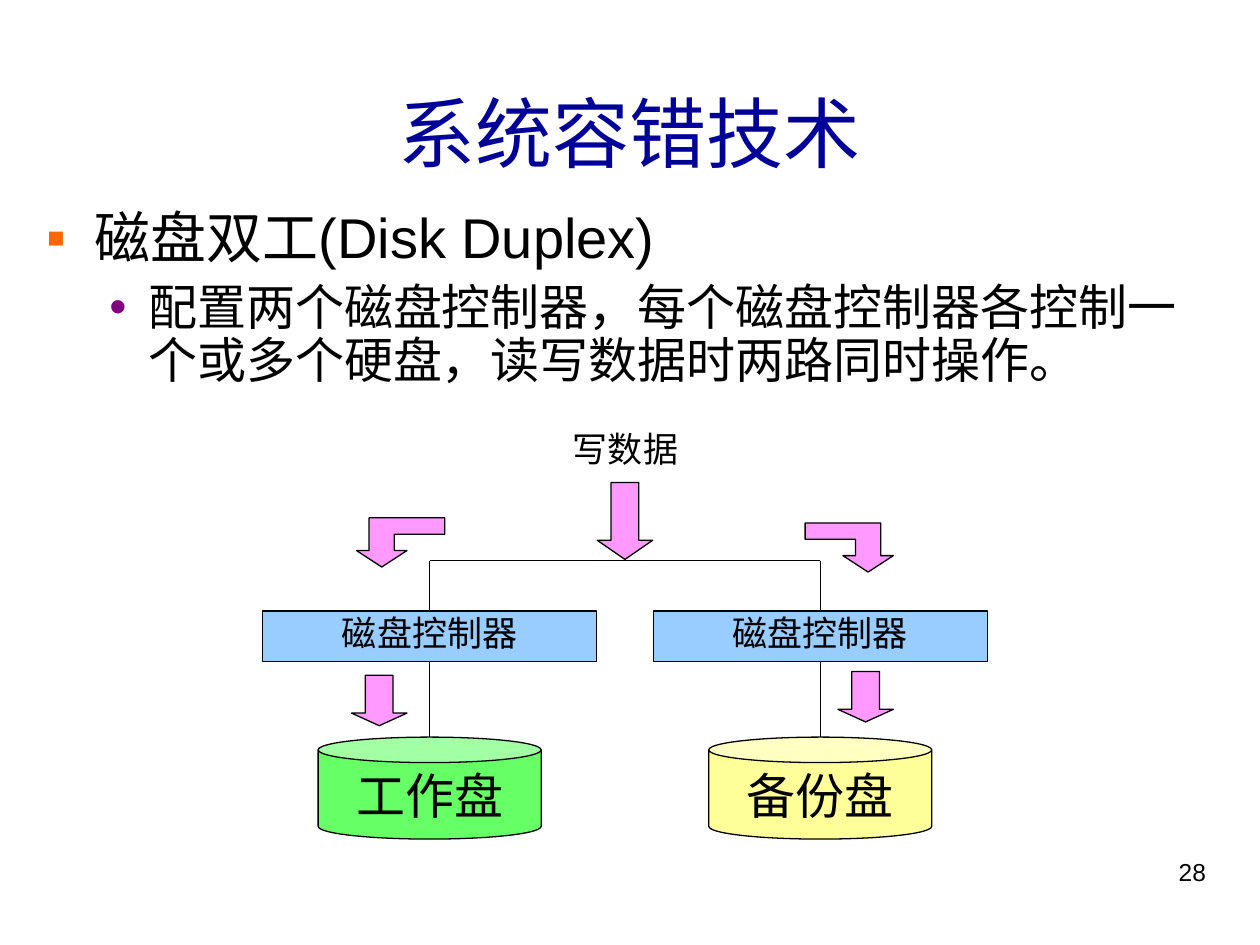
from lxml import etree
from pptx import Presentation
from pptx.dml.color import RGBColor
from pptx.enum import shapes, text
from pptx.oxml.ns import qn
from pptx.util import Inches, Pt

TITLE = "系统容错技术"
PAGE = "28"
# text, size, left margin, hanging indent, space before, bullet, bullet colour
OUTLINE = [
    ("磁盘双工(Disk Duplex)", 32, 0.38, 0.38, 0, "▪", "FF6600"),
    ("配置两个磁盘控制器，每个磁盘控制器各控制一个或多个硬盘，读写数据时两路同时操作。",
     28, 0.81, 0.31, 7, "•", "800080"),
]
SOURCE = "写数据"
# centre, controller, disk, disk colour, left and top of the flow arrow
CHANNELS = [
    (3.41, "磁盘控制器", "工作盘", "66FF66", 2.79, 5.36),
    (6.51, "磁盘控制器", "备份盘", "FFFF99", 6.65, 5.33),
]
# tip of each bent arrow and the direction its tail points to
BENT_ARROWS = [(3.03, 4.5, 1), (6.89, 4.54, -1)]
# offsets from the tip
BENT_OUTLINE = [(0, 0), (0.2, -0.13), (0.1, -0.13), (0.1, -0.26),
                (0.5, -0.26), (0.5, -0.39), (-0.1, -0.39),
                (-0.1, -0.13), (-0.2, -0.13)]
BLACK, PINK, BLUE, NAVY = "000000", "FF99FF", "99CCFF", "000099"
SERIF, SANS = "Times New Roman", "Arial"
BUS_Y, CONTROLLER_Y, CONTROLLER_H, DISK_Y = 4.45, 4.85, 0.4, 5.85
CONTROLLER_W, DISK_W, DISK_H = 2.65, 1.77, 0.81

prs = Presentation()
prs.slide_width, prs.slide_height = Inches(10), Inches(7.5)
slide = prs.slides.add_slide(prs.slide_layouts[6])


def color(value):
    return RGBColor.from_string(value)


def style_font(paragraph, size, face, ink=BLACK):
    for run in paragraph.runs:
        run.font.size, run.font.name = Pt(size), face
        run.font.color.rgb = color(ink)


def write(holder, words, size, face, ink=BLACK, align=text.PP_ALIGN.CENTER,
          anchor=text.MSO_ANCHOR.TOP, inset=(0, 0)):
    frame = holder.text_frame
    frame.word_wrap = True
    frame.vertical_anchor = anchor
    frame.margin_left = frame.margin_right = Inches(inset[0])
    frame.margin_top = frame.margin_bottom = Inches(inset[1])
    frame.text = words
    for paragraph in frame.paragraphs:
        paragraph.alignment = align
        style_font(paragraph, size, face, ink)
    return frame


def textbox(*place):
    return slide.shapes.add_textbox(*map(Inches, place))


def paint(shape, fill):
    shape.shadow.inherit = False
    shape.fill.solid()
    shape.fill.fore_color.rgb = color(fill)
    shape.line.color.rgb = color(BLACK)
    shape.line.width = Pt(0.75)
    return shape


def add_shape(kind, fill, *place):
    return paint(slide.shapes.add_shape(kind, *map(Inches, place)), fill)


def down_arrow(left, top, height, head):
    arrow = add_shape(shapes.MSO_SHAPE.DOWN_ARROW, PINK, left, top, 0.44, height)
    arrow.adjustments[1] = head


def add_line(*ends):
    line = slide.shapes.add_connector(shapes.MSO_CONNECTOR.STRAIGHT,
                                      *map(Inches, ends))
    line.line.color.rgb = color(BLACK)
    line.line.width = Pt(0.75)
    etree.SubElement(line._element.spPr, qn("a:effectLst"))


def add_bullet(paragraph, margin, hanging, mark, ink):
    props = paragraph._p.get_or_add_pPr()
    props.set("marL", str(Inches(margin)))
    props.set("indent", str(-Inches(hanging)))
    tint = etree.SubElement(props, qn("a:buClr"))
    etree.SubElement(tint, qn("a:srgbClr"), val=ink)
    etree.SubElement(props, qn("a:buFont"), typeface=SANS)
    etree.SubElement(props, qn("a:buChar"), char=mark)


# Page number and title
write(textbox(7.17, 6.75, 2.5, 0.52), PAGE, 14, SANS,
      align=text.PP_ALIGN.RIGHT, inset=(0.1, 0.05))
write(textbox(0.33, 0.42, 9.34, 1.25), TITLE, 44, SANS, NAVY,
      anchor=text.MSO_ANCHOR.MIDDLE, inset=(0.1, 0.05))

# Bulleted outline
outline = write(textbox(0.27, 1.62, 9.34, 1.65),
                "\n".join(item[0] for item in OUTLINE), 32, SANS,
                align=text.PP_ALIGN.LEFT, inset=(0.1, 0.05))
for paragraph, item in zip(outline.paragraphs, OUTLINE):
    _, size, margin, hanging, before, mark, ink = item
    paragraph.line_spacing = 0.9
    if before:
        paragraph.space_before = Pt(before)
        paragraph.level = 1
    add_bullet(paragraph, margin, hanging, mark, ink)
    style_font(paragraph, size, SANS)

# Data source and the bus that splits it
source = write(textbox(4.08, 3.44, 1.77, 0.29), SOURCE, 20, SERIF)
source.paragraphs[0].line_spacing = 0.86
down_arrow(4.74, 3.83, 0.61, 0.345)
add_line(CHANNELS[0][0], BUS_Y, CHANNELS[1][0], BUS_Y)

# One controller and one disk per channel
for center, controller, disk, fill, arrow_x, arrow_y in CHANNELS:
    add_line(center, BUS_Y, center, CONTROLLER_Y)
    add_line(center, CONTROLLER_Y + CONTROLLER_H, center, DISK_Y)
    box = add_shape(shapes.MSO_SHAPE.RECTANGLE, BLUE, center - CONTROLLER_W / 2,
                    CONTROLLER_Y, CONTROLLER_W, CONTROLLER_H)
    write(box, controller, 20, SERIF)
    can = add_shape(shapes.MSO_SHAPE.CAN, fill, center - DISK_W / 2,
                    DISK_Y, DISK_W, DISK_H)
    write(can, disk, 28, SERIF, anchor=text.MSO_ANCHOR.MIDDLE)
    down_arrow(arrow_x, arrow_y, 0.4, 0.25)

# Bent arrows, mirrored left and right
for tip_x, tip_y, side in BENT_ARROWS:
    start, *rest = [(Inches(tip_x + side * dx), Inches(tip_y + dy))
                    for dx, dy in BENT_OUTLINE]
    builder = slide.shapes.build_freeform(*start)
    builder.add_line_segments(rest, close=True)
    paint(builder.convert_to_shape(), PINK)

prs.save("out.pptx")
